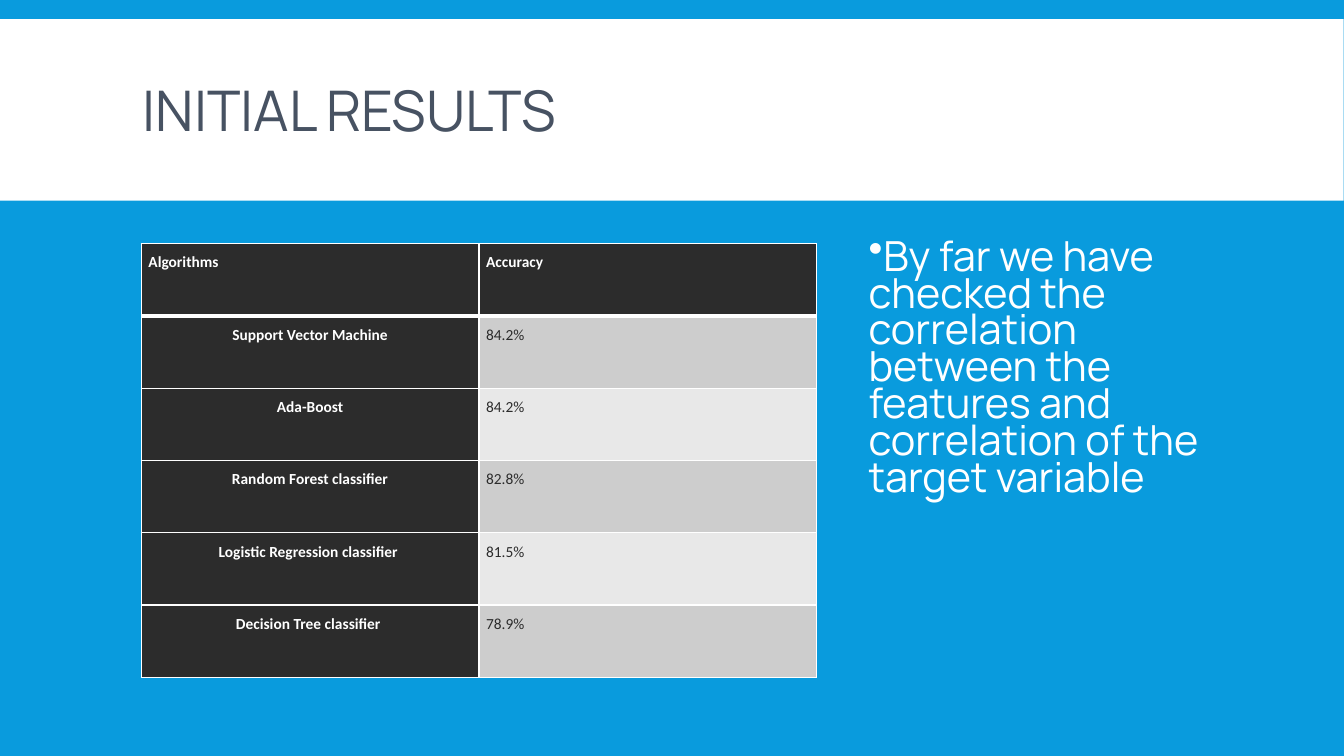
import pptx
import pptx.dml.color
import pptx.enum.shapes
import pptx.enum.text
import pptx.oxml
import pptx.oxml.ns
import pptx.util
from lxml import etree

Cm = pptx.util.Cm
Pt = pptx.util.Pt
RGBColor = pptx.dml.color.RGBColor
ALIGN = pptx.enum.text.PP_ALIGN
ANCHOR = pptx.enum.text.MSO_ANCHOR

BLUE = RGBColor(0x09, 0x9B, 0xDD)
WHITE = RGBColor(0xFF, 0xFF, 0xFF)
SLATE = RGBColor(0x47, 0x52, 0x62)
CHARCOAL = RGBColor(0x2C, 0x2C, 0x2C)
BAND_COLORS = (RGBColor(0xCD, 0xCD, 0xCD), RGBColor(0xE8, 0xE8, 0xE8))

HEADINGS = ("Algorithms", "Accuracy")
RESULTS = (
    ("Support Vector Machine", "84.2%"),
    ("Ada-Boost", "84.2%"),
    ("Random Forest classifier", "82.8%"),
    ("Logistic Regression classifier ", "81.5%"),
    ("Decision Tree classifier ", "78.9%"),
)


def write(frame, text, font, size, color, bold=False, align=ALIGN.LEFT,
          spacing=1.0, before=0, after=0):
    paragraph = frame.paragraphs[0]
    paragraph.alignment = align
    paragraph.line_spacing = spacing
    paragraph.space_before, paragraph.space_after = Pt(before), Pt(after)
    run = paragraph.add_run()
    run.text = text
    run.font.name, run.font.size, run.font.bold = font, Pt(size), bold
    run.font.color.rgb = color
    return paragraph


def add_bullet(paragraph, character, color):
    properties = paragraph._p.get_or_add_pPr()
    bullet_color = etree.SubElement(properties, pptx.oxml.ns.qn("a:buClr"))
    etree.SubElement(bullet_color, pptx.oxml.ns.qn("a:srgbClr"), val=str(color))
    etree.SubElement(properties, pptx.oxml.ns.qn("a:buChar"), char=character)


def set_borders(cell, color, widths):
    """Line the left, right, top and bottom sides, with widths in points."""
    properties = cell._tc.get_or_add_tcPr()
    for position, (side, width) in enumerate(zip("LRTB", widths)):
        line = etree.Element(pptx.oxml.ns.qn(f"a:ln{side}"), w=str(Pt(width)))
        fill = etree.SubElement(line, pptx.oxml.ns.qn("a:solidFill"))
        etree.SubElement(fill, pptx.oxml.ns.qn("a:srgbClr"), val=str(color))
        properties.insert(position, line)


class ResultsSlide:
    heading_font = "Manrope"
    table_font = "Calibri"

    def __init__(self, slide, background):
        self.slide = slide
        slide.background.fill.solid()
        slide.background.fill.fore_color.rgb = background

    def band(self, left, top, width, height, color):
        band = self.slide.shapes.add_shape(
            pptx.enum.shapes.MSO_SHAPE.RECTANGLE,
            Cm(left), Cm(top), Cm(width), Cm(height))
        band.shadow.inherit = False
        band.fill.solid()
        band.fill.fore_color.rgb = color
        band.line.fill.background()

    def text(self, left, top, width, height, text, anchor=ANCHOR.TOP, **style):
        box = self.slide.shapes.add_textbox(
            Cm(left), Cm(top), Cm(width), Cm(height))
        box.text_frame.word_wrap = True
        box.text_frame.vertical_anchor = anchor
        return write(box.text_frame, text, self.heading_font, **style)

    def cell(self, cell, text, fill, color, bold, align, bottom):
        cell.margin_left = cell.margin_right = Cm(0.18)
        cell.margin_top = cell.margin_bottom = 0
        cell.fill.solid()
        cell.fill.fore_color.rgb = fill
        write(cell.text_frame, text, self.table_font, 11, color,
              bold=bold, align=align, spacing=1.5)
        set_borders(cell, WHITE, (1, 1, 1, bottom))

    def table(self, left, top, width, height, headings, records):
        rows = (headings, *records)
        table = self.slide.shapes.add_table(
            len(rows), len(headings),
            Cm(left), Cm(top), Cm(width), Cm(height)).table
        for row, values in enumerate(rows):
            for column, value in enumerate(values):
                dark = row == 0 or column == 0
                self.cell(
                    table.cell(row, column), value,
                    fill=CHARCOAL if dark else BAND_COLORS[(row - 1) % 2],
                    color=WHITE if dark else CHARCOAL,
                    bold=dark,
                    align=ALIGN.CENTER if row and column == 0 else ALIGN.JUSTIFY,
                    bottom=1 if row else 3)


def main():
    presentation = pptx.Presentation()
    presentation.slide_width, presentation.slide_height = Cm(33.87), Cm(19.05)
    results = ResultsSlide(
        presentation.slides.add_slide(presentation.slide_layouts[6]), BLUE)

    # Title band
    results.band(0, 0.48, 33.86, 4.58, WHITE)
    results.text(3.35, 0.79, 27.18, 4.19, "INITIAL RESULTS",
                 anchor=ANCHOR.MIDDLE, size=40, color=SLATE, spacing=0.85)

    # Accuracy table
    results.table(3.56, 6.14, 17.02, 10.93, HEADINGS, RESULTS)

    # Finding beside the table
    finding = results.text(
        21.64, 5.97, 8.89, 9.53,
        "By far we have checked the correlation between the features and "
        "correlation of the target variable",
        size=29.6, color=WHITE, spacing=0.74, before=12, after=2)
    add_bullet(finding, "•", WHITE)

    presentation.save("out.pptx")


if __name__ == "__main__":
    main()
